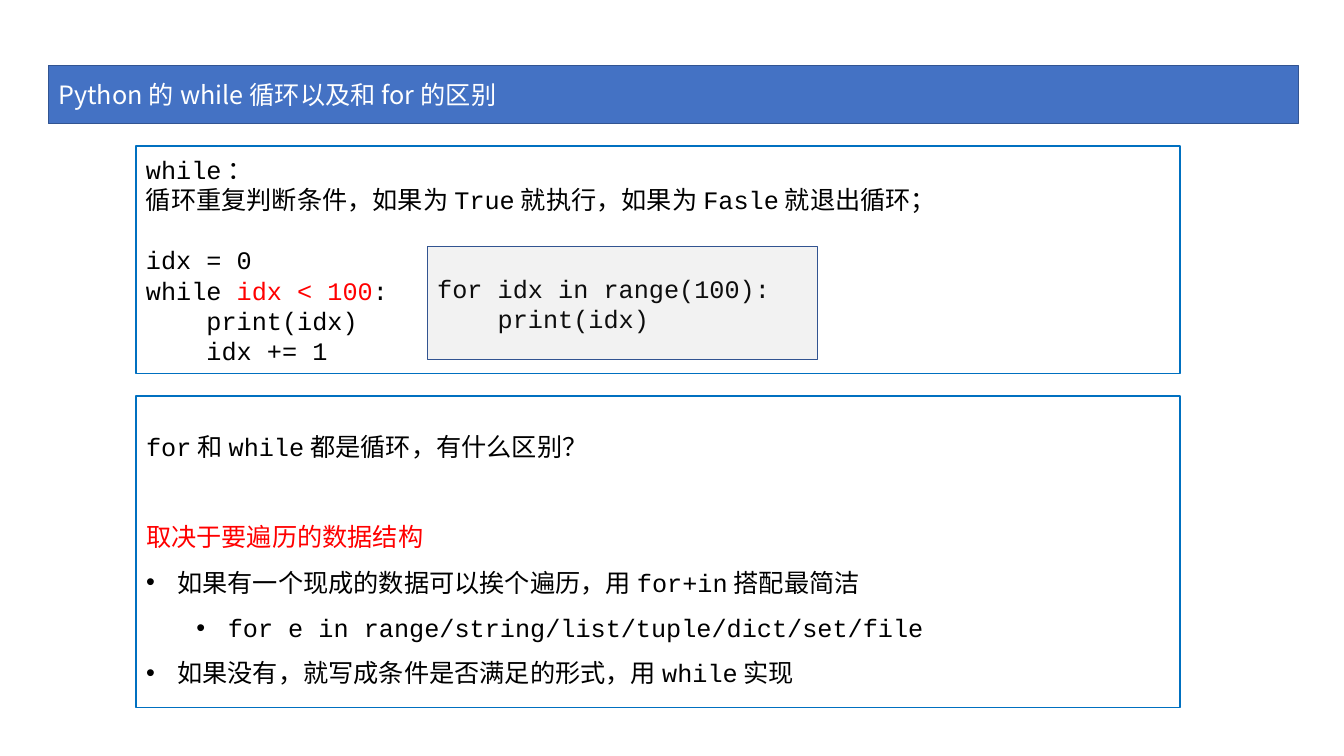
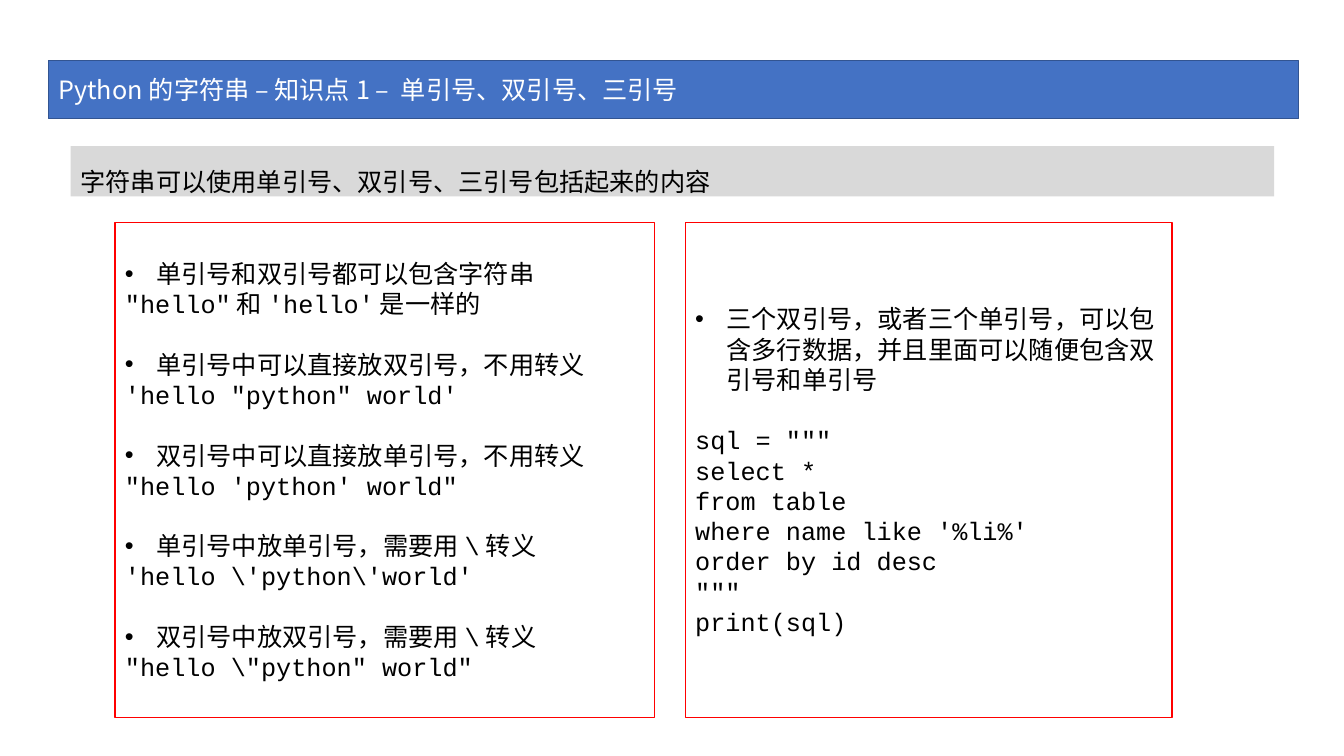
from dataclasses import dataclass
from lxml.etree import SubElement
from pptx import Presentation
from pptx.dml.color import RGBColor
from pptx.enum.shapes import MSO_SHAPE
from pptx.enum.text import MSO_ANCHOR, MSO_AUTO_SIZE, PP_ALIGN
from pptx.oxml.ns import qn
from pptx.util import Cm, Pt


@dataclass(frozen=True)
class Theme:
    band: str = "4472C4"
    edge: str = "325491"
    blue: str = "0070C0"
    red: str = "FF0000"
    pale: str = "F2F2F2"
    grey: str = "D9D9D9"
    white: str = "FFFFFF"
    black: str = "000000"
    ink: str = "0D0D0D"
    sans: str = "Noto Sans CJK SC"
    mono: str = "Courier New"
    size: float = 18
    gap: float = 21.6
    wide: float = 32.4


T = Theme()


def tint(code):
    return RGBColor.from_string(code)


def set_mark(par, level, bullet):
    props = par._p.get_or_add_pPr()
    indent = Cm(0.79) if bullet else 0
    props.set("marL", str(indent + level * Cm(1.27)))
    props.set("indent", str(-indent))
    if bullet:
        SubElement(props, qn("a:buFont"), typeface="Arial")
        SubElement(props, qn("a:buChar"), char="•")
    else:
        SubElement(props, qn("a:buNone"))


def write(frame, text, font=T.mono, color=T.black, hot="", level=0,
          bullet=False, before=0, space=1.0):
    first = frame.paragraphs[0]
    par = frame.add_paragraph() if first.runs else first
    par.level = level
    set_mark(par, level, bullet)
    par.alignment = PP_ALIGN.LEFT
    par.line_spacing = space
    par.space_before = Pt(before)
    par.space_after = Pt(0)
    head, mid, tail = text.partition(hot) if hot else (text, "", "")
    for part, shade in ((head, color), (mid, T.red), (tail, color)):
        if part:
            run = par.add_run()
            run.text = part
            run.font.name = font
            run.font.size = Pt(T.size)
            run.font.color.rgb = tint(shade)
            SubElement(run.font._element, qn("a:ea"), typeface=T.sans)


def style(shape, box, fill, line=None, anchor=MSO_ANCHOR.MIDDLE):
    shape.left, shape.top, shape.width, shape.height = map(Cm, box)
    shape.fill.solid()
    shape.fill.fore_color.rgb = tint(fill)
    if line:
        shape.line.color.rgb = tint(line)
        shape.line.width = Pt(1)
    else:
        shape.line.fill.background()
    frame = shape.text_frame
    frame.word_wrap = True
    frame.auto_size = MSO_AUTO_SIZE.NONE
    frame.vertical_anchor = anchor
    frame.margin_left = frame.margin_right = Cm(0.25)
    frame.margin_top = frame.margin_bottom = Cm(0.13)
    return frame


def add_box(slide, box, fill, line=None, **rest):
    shape = slide.shapes.add_shape(MSO_SHAPE.RECTANGLE, *map(Cm, box))
    shape.shadow.inherit = False
    return style(shape, box, fill, line, **rest)


def add_title(slide, text, top):
    frame = style(slide.shapes.title, (1.22, top, 31.5, 1.47), T.band, T.edge)
    write(frame, text, font=T.sans, color=T.white)


def while_box(slide, box):
    left, top = box[:2]
    frame = add_box(slide, box, T.white, T.blue)
    write(frame, "while：")
    write(frame, "循环重复判断条件，如果为True就执行，如果为Fasle就退出循环；")
    write(frame, "idx = 0", before=T.gap)
    write(frame, "while idx < 100:", hot="idx < 100")
    write(frame, "    print(idx)")
    write(frame, "    idx += 1")
    code = add_box(slide, (left + 7.34, top + 2.54, 9.83, 2.84), T.pale, T.edge)
    for text in ("for idx in range(100):", "    print(idx)"):
        write(code, text, color=T.ink)


def choice_box(slide, box):
    frame = style(slide.placeholders[1], box, T.white, T.blue)
    write(frame, "for和while都是循环，有什么区别？", space=1.5)
    write(frame, "取决于要遍历的数据结构", color=T.red, before=T.wide, space=1.5)
    for level, text in (
        (0, "如果有一个现成的数据可以挨个遍历，用for+in搭配最简洁"),
        (1, "for e in range/string/list/tuple/dict/set/file"),
        (0, "如果没有，就写成条件是否满足的形式，用while实现"),
    ):
        write(frame, text, level=level, bullet=True, space=1.5)


def lead_bar(slide, box):
    frame = add_box(slide, box, T.grey, anchor=MSO_ANCHOR.TOP)
    write(frame, "字符串可以使用单引号、双引号、三引号包括起来的内容",
          font=T.sans, space=1.5)


def quote_box(slide, box):
    frame = style(slide.placeholders[1], box, T.white, T.red)
    rules = (
        ("单引号和双引号都可以包含字符串", "\"hello\"和'hello'是一样的"),
        ("单引号中可以直接放双引号，不用转义", "'hello \"python\" world'"),
        ("双引号中可以直接放单引号，不用转义", "\"hello 'python' world\""),
        ("单引号中放单引号，需要用\\转义", r"'hello \'python\'world'"),
        ("双引号中放双引号，需要用\\转义", r'"hello \"python" world"'),
    )
    for rank, (rule, code) in enumerate(rules):
        write(frame, rule, bullet=True, before=T.gap if rank else 0)
        write(frame, code)


def triple_box(slide, box):
    frame = style(slide.placeholders[2], box, T.white, T.red)
    write(frame, "三个双引号，或者三个单引号，可以包含多行数据，并且里面可以随便包含双引号和单引号",
          font=T.sans, bullet=True)
    lines = ('sql = """', "select *", "from table", "where name like '%li%'",
             "order by id desc", '"""', "print(sql)")
    for rank, text in enumerate(lines):
        write(frame, text, before=0 if rank else T.gap)


def loop_slide(deck):
    slide = deck.slides.add_slide(deck.slide_layouts[1])
    add_title(slide, "Python的while循环以及和for的区别", 1.65)
    while_box(slide, (3.43, 3.68, 26.31, 5.74))
    choice_box(slide, (3.43, 9.98, 26.31, 7.85))


def string_slide(deck):
    slide = deck.slides.add_slide(deck.slide_layouts[3])
    add_title(slide, "Python的字符串 – 知识点1 – 单引号、双引号、三引号", 1.52)
    lead_bar(slide, (1.78, 3.68, 30.33, 1.27))
    quote_box(slide, (2.9, 5.61, 13.59, 12.47))
    triple_box(slide, (17.27, 5.61, 12.27, 12.47))


def main():
    deck = Presentation()
    deck.slide_width, deck.slide_height = Cm(33.87), Cm(19.05)
    loop_slide(deck)
    string_slide(deck)
    deck.save("out.pptx")


if __name__ == "__main__":
    main()
